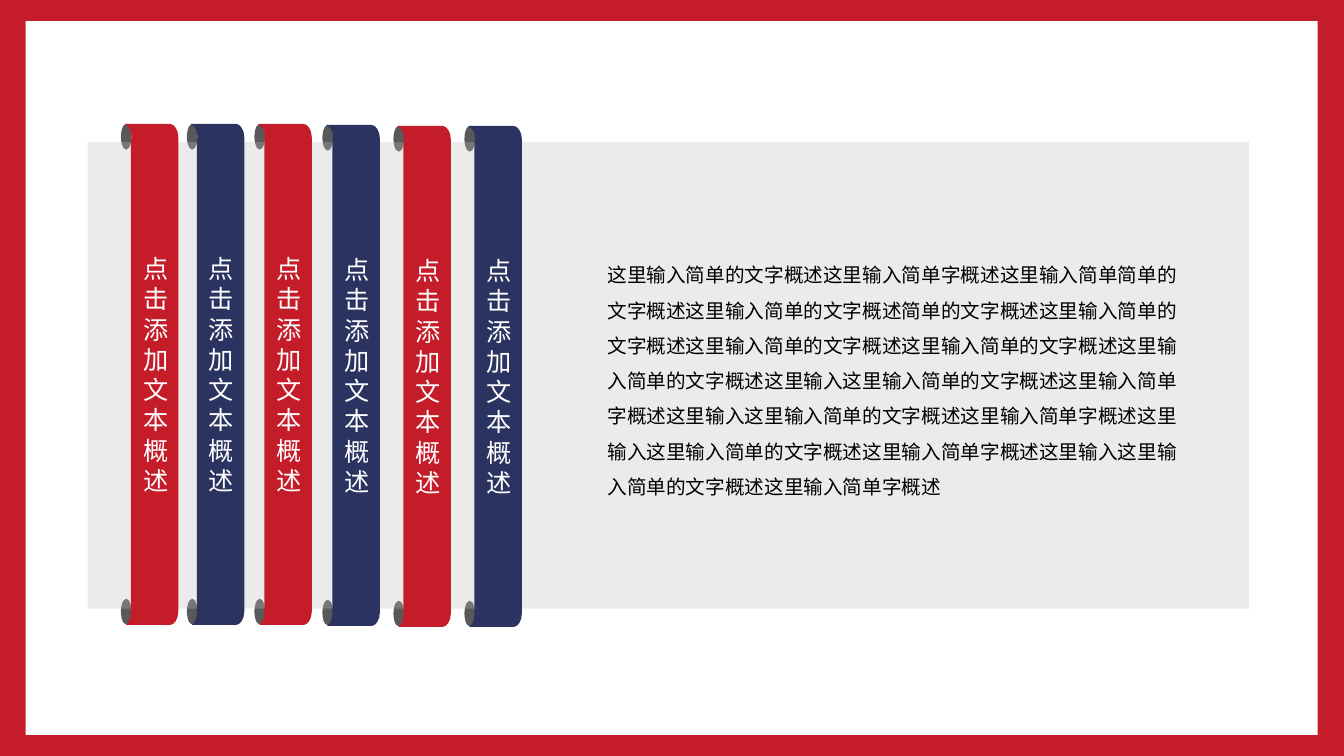
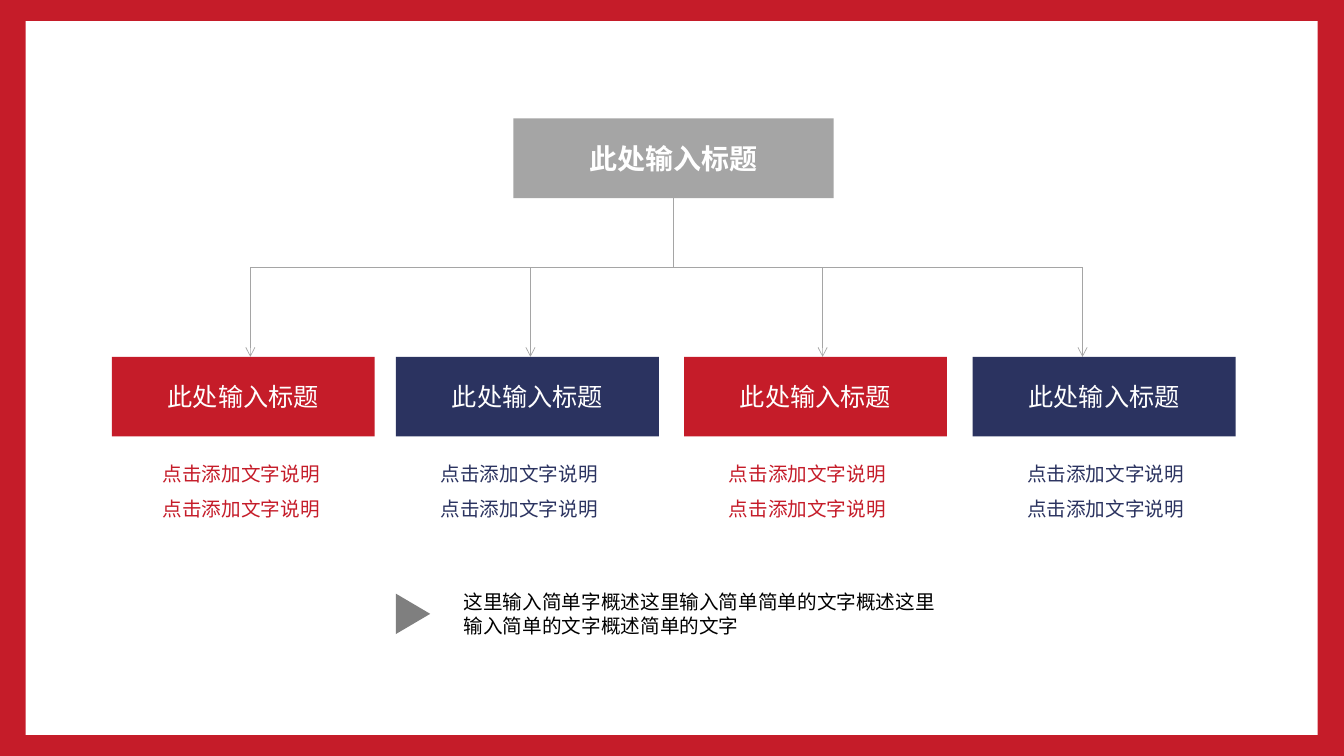
from dataclasses import dataclass

import pptx
import pptx.dml.color
import pptx.enum.shapes
import pptx.enum.text
import pptx.oxml
import pptx.oxml.ns
import pptx.util

RED, NAVY, GREY, WHITE, BLACK = "C51C29", "2B3360", "A5A5A5", "FFFFFF", "000000"
FACE = "Noto Sans CJK SC"
KIND = pptx.enum.shapes.MSO_SHAPE
ALIGN = pptx.enum.text.PP_ALIGN
ANCHOR = pptx.enum.text.MSO_ANCHOR
FIT = pptx.enum.text.MSO_AUTO_SIZE

# The grid has ten columns and ten rows to the inch
WIDE, HIGH = 133.4, 75


def cell(count: float) -> int:
    return pptx.util.Inches(count / 10)


@dataclass
class Box:
    left: float
    top: float
    wide: float
    high: float

    def span(self) -> tuple:
        return tuple(cell(n) for n in (self.left, self.top, self.wide, self.high))

    def inner(self, wide: float, high: float) -> "Box":
        """A smaller box with the same centre."""
        return Box(self.left + (self.wide - wide) / 2,
                   self.top + (self.high - high) / 2, wide, high)


@dataclass
class Style:
    size: float
    color: str
    bold: bool = False
    align: ALIGN = ALIGN.CENTER
    lead: float = 1.0
    anchor: ANCHOR = ANCHOR.MIDDLE
    wrap: bool = True


@dataclass
class Ribbon:
    left: float
    top: float
    color: str


@dataclass
class Branch:
    left: float
    arrow: float
    note: float
    color: str


RIBBONS = [
    Ribbon(12.3, 12.3, RED), Ribbon(18.85, 12.3, NAVY), Ribbon(25.55, 12.3, RED),
    Ribbon(32.3, 12.4, NAVY), Ribbon(39.35, 12.5, RED), Ribbon(46.4, 12.5, NAVY),
]
BRANCHES = [
    Branch(11.1, 24.85, 10.15, RED), Branch(39.3, 52.65, 37.75, NAVY),
    Branch(67.9, 81.65, 66.35, RED), Branch(96.55, 107.45, 95.95, NAVY),
]
# Ribbon edge: one point is a line, three points are a curve
EDGE = [
    [(0.7, 1.7)],
    [(1, 0), (-0.3, 0), (0.1, 0)],
    [(4.6, 0)],
    [(5, 0), (5.4, 0.6), (5.4, 1.3)],
    [(5.4, 48.4)],
    [(5.4, 49.1), (5, 49.7), (4.6, 49.7)],
    [(0.3, 49.7)],
    [(-0.1, 49.7), (0.7, 49.7), (0.7, 48.4)],
]
STORY = (
    "这里输入简单的文字概述这里输入简单字概述这里输入简单简单的文字概述这里输入简单的文字概述"
    "简单的文字概述这里输入简单的文字概述这里输入简单的文字概述这里输入简单的文字概述"
    "这里输入简单的文字概述这里输入这里输入简单的文字概述这里输入简单字概述这里输入"
    "这里输入简单的文字概述这里输入简单字概述这里输入这里输入简单的文字概述这里输入简单字概述"
    "这里输入这里输入简单的文字概述这里输入简单字概述"
)


# Shared helpers
def tint(code: str):
    return pptx.dml.color.RGBColor.from_string(code)


def put(thing, values: dict) -> None:
    for name, value in values.items():
        setattr(thing, name, value)


def tag(host, name: str, **pairs):
    item = pptx.oxml.parse_xml(f"<a:{name} {pptx.oxml.ns.nsdecls('a')}/>")
    for key, value in pairs.items():
        item.set(key, value)
    host.append(item)
    return item


def paint(shape, color: str) -> None:
    shape.fill.solid()
    shape.fill.fore_color.rgb = tint(color)
    shape.line.fill.background()
    shape.shadow.inherit = False


def draw(slide, kind, box: Box, color: str):
    shape = slide.shapes.add_shape(kind, *box.span())
    paint(shape, color)
    return shape


def write(shape, lines: list, style: Style):
    frame = shape.text_frame
    put(frame, {"word_wrap": style.wrap, "auto_size": FIT.NONE,
                "vertical_anchor": style.anchor})
    frame.text = "\n".join(lines)
    for para in frame.paragraphs:
        put(para, {"alignment": style.align, "line_spacing": style.lead,
                   "space_before": pptx.util.Pt(0)})
        font = para.runs[0].font
        put(font, {"size": pptx.util.Pt(style.size), "bold": style.bold, "name": FACE})
        font.color.rgb = tint(style.color)
        tag(para.runs[0]._r.get_or_add_rPr(), "ea", typeface=FACE)
    return frame


def label(slide, box: Box, lines: list, style: Style) -> None:
    write(slide.shapes.add_textbox(*box.span()), lines, style)


def place(slide, shape, box: Box) -> None:
    """Move a placeholder and bring it to the front."""
    put(shape, dict(zip(("left", "top", "width", "height"), box.span())))
    slide.shapes.element.append(shape.element)


def link(slide, start: tuple, end: tuple, arrow: bool = False):
    ends = [cell(n) for n in start + end]
    line = slide.shapes.add_connector(pptx.enum.shapes.MSO_CONNECTOR.STRAIGHT, *ends)
    line.line.color.rgb = tint(GREY)
    line.line.width = pptx.util.Pt(0.5)
    if arrow:
        tag(line.line._get_or_add_ln(), "tailEnd", type="arrow")
    tag(line._element.spPr, "effectLst")
    return line


def frame_deck(deck, slide) -> None:
    """Draw the red frame and move it to the master."""
    tree = deck.slide_master.shapes.element
    parts = [(Box(0, 0, WIDE, HIGH), RED), (Box(2.54, 2.1, 128.25, 70.8), WHITE)]
    for spot, (box, color) in enumerate(parts, 2):
        tree.insert(spot, draw(slide, KIND.RECTANGLE, box, color).element)


# Slide 1: ribbons
def bend(shape, item: Ribbon) -> None:
    """Turn the straight steps of the outline into curves where EDGE has them."""
    steps = list(shape.element.iter(pptx.oxml.ns.qn("a:lnTo")))
    for part, step in zip(EDGE[1:], steps):
        if len(part) == 3:
            curve = tag(step.getparent(), "cubicBezTo")
            for x, y in part:
                tag(curve, "pt", x=str(cell(item.left + x) - shape.left),
                    y=str(cell(item.top + y) - shape.top))
            step.getparent().replace(step, curve)


def hang(slide, item: Ribbon) -> None:
    first, *rest = [(cell(item.left + part[-1][0]), cell(item.top + part[-1][1]))
                    for part in EDGE]
    pen = slide.shapes.build_freeform(*first, scale=1.0)
    pen.add_line_segments(rest, close=True)
    shape = pen.convert_to_shape()
    bend(shape, item)
    paint(shape, item.color)
    frame = write(shape, ["点击添加文本概述"], Style(18, WHITE))
    put(frame, {"margin_left": cell(0.8), "margin_right": 0,
                "margin_top": 0, "margin_bottom": 0})


def scrolls(slide) -> None:
    for item in RIBBONS:
        for drop in (0, 47.1):
            draw(slide, KIND.OVAL, Box(item.left - 0.3, item.top + drop, 1.05, 2.55), "595959")
    panel = draw(slide, KIND.RECTANGLE, Box(8.7, 14.1, 115.3, 46.3), "BFBFBF")
    tag(panel.fill._xPr.solidFill[0], "alpha", val="30000")
    for item in RIBBONS:
        hang(slide, item)

    # Body text, above the panel
    title, body = slide.shapes.title, slide.placeholders[1]
    title.element.getparent().remove(title.element)
    place(slide, body, Box(59.3, 24.45, 60.1, 25.5))
    frame = write(body, [STORY], Style(14, BLACK, align=ALIGN.LEFT, lead=1.5,
                                       anchor=ANCHOR.TOP))
    props = frame.paragraphs[0]._p.get_or_add_pPr()
    for key in ("marL", "indent"):
        props.set(key, "0")
    tag(props, "buNone")


# Slide 2: tree of headings
def chart(slide) -> None:
    bar, floor = 26.55, 35.4
    top = Box(50.95, 11.75, 31.8, 7.9)
    root = draw(slide, KIND.RECTANGLE, top, GREY)

    # Lines
    link(slide, (BRANCHES[0].arrow, bar), (BRANCHES[-1].arrow, bar))
    for item in BRANCHES:
        link(slide, (item.arrow, bar), (item.arrow, floor), arrow=True)
    middle = top.left + top.wide / 2
    stem = link(slide, (middle, top.top + top.high), (middle, bar))
    stem.begin_connect(root, 2)

    # Main heading
    title = slide.shapes.title
    place(slide, title, top.inner(18.7, 4.4))
    title.fill.solid()
    title.fill.fore_color.rgb = tint(GREY)
    write(title, ["此处输入标题"], Style(20, WHITE, bold=True, wrap=False))

    # Branches
    for item in BRANCHES:
        label(slide, Box(item.note, 44.15, 27.6, 8), ["点击添加文字说明"] * 2,
              Style(14, item.color, lead=1.5, anchor=ANCHOR.TOP))
        box = Box(item.left, floor, 26.1, 7.9)
        draw(slide, KIND.RECTANGLE, box, item.color)
        name = draw(slide, KIND.RECTANGLE, box.inner(17, 4), item.color)
        write(name, ["此处输入标题"], Style(18, WHITE, wrap=False))

    # Closing note
    mark = draw(slide, KIND.ISOSCELES_TRIANGLE, Box(39, 59.2, 4, 3.4), "7F7F7F")
    mark.rotation = 90
    label(slide, Box(45.05, 58.05, 49.6, 5.7),
          ["这里输入简单字概述这里输入简单简单的文字概述这里", "输入简单的文字概述简单的文字"],
          Style(14, BLACK, align=ALIGN.LEFT, anchor=ANCHOR.TOP))


def main() -> None:
    deck = pptx.Presentation()
    put(deck, {"slide_width": cell(WIDE), "slide_height": cell(HIGH)})
    first = deck.slides.add_slide(deck.slide_layouts[1])
    frame_deck(deck, first)
    scrolls(first)
    chart(deck.slides.add_slide(deck.slide_layouts[5]))
    deck.save("out.pptx")


if __name__ == "__main__":
    main()
